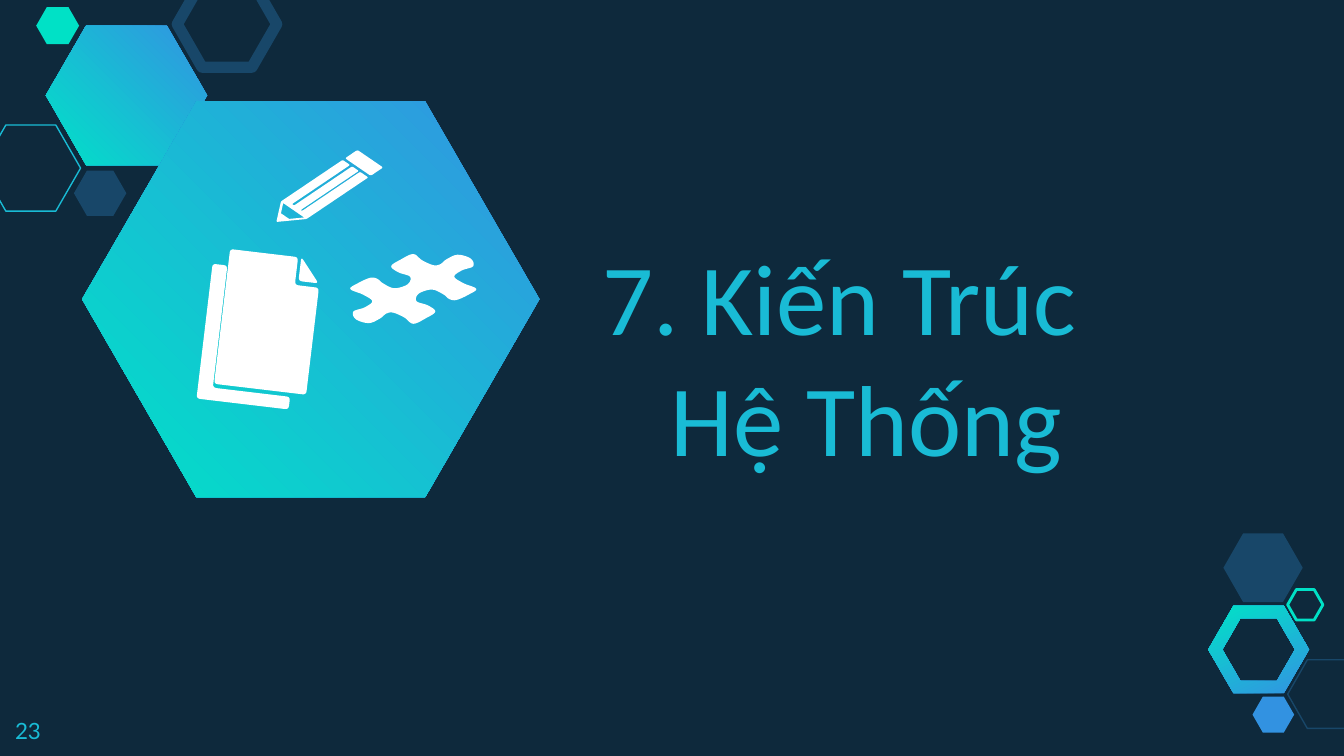
"""Build the section slide "7. Kiến Trúc Hệ Thống" with hexagons and icons."""
from math import cos, radians, sin

from pptx import Presentation
from pptx.dml.color import RGBColor
from pptx.enum.shapes import MSO_SHAPE
from pptx.enum.text import MSO_ANCHOR, MSO_AUTO_SIZE, PP_ALIGN
from pptx.util import Pt

COLORS = {
    "night": "0E293C", "navy": "184769", "cyan": "19BBD5",
    "mint": "00E1C6", "blue": "3292E1", "white": "FFFFFF",
    "grad_start": "3393E2", "grad_end": "00E2C7",
}
HEX_RATIO = sin(radians(60))
PAGE_TILT = 6.8
KNOB_PROFILE = [
    (0, 0), (0.18, -0.02), (0.35, 0), (0.38, 0.15), (0.35, 0.3), (0.48, 0.39),
    (0.64, 0.34), (0.66, 0.18), (0.64, 0.07), (0.68, 0), (0.84, -0.02),
]


def rgb(name):
    return RGBColor.from_string(COLORS[name])


def hexagon_points(cx, cy, width):
    angles = [radians(60 * k) for k in range(6)]
    return [(cx + width / 2 * cos(a), cy + width / 2 * sin(a)) for a in angles]


def on_axes(origin, along, across, points):
    """Map (a, b) pairs to origin + a * along + b * across."""
    return [tuple(o + a * u + b * v for o, u, v in zip(origin, along, across))
            for a, b in points]


def round_corners(corners, radius, steps=4):
    """Replace each corner of a polygon by a short quadratic curve."""
    points = []
    for i, (x, y) in enumerate(corners):
        ends = []
        for nx, ny in (corners[i - 1], corners[(i + 1) % len(corners)]):
            share = min(0.5, radius / ((nx - x) ** 2 + (ny - y) ** 2) ** 0.5)
            ends.append((x + share * (nx - x), y + share * (ny - y)))
        (ax, ay), (bx, by) = ends
        for t in (k / steps for k in range(steps + 1)):
            before, middle, after = (1 - t) ** 2, 2 * t * (1 - t), t ** 2
            points.append((before * ax + middle * x + after * bx,
                           before * ay + middle * y + after * by))
    return points


def smooth_loop(knots, steps=5):
    """Run a closed Catmull-Rom curve through the knots."""
    points = []
    for i in range(len(knots)):
        window = [knots[(i + k) % len(knots)] for k in (-1, 0, 1, 2)]
        for t in (k / steps for k in range(steps)):
            points.append(tuple(
                b + t / 2 * (c - a + t * (2 * a - 5 * b + 4 * c - d
                                          + t * (3 * (b - c) + d - a)))
                for a, b, c, d in zip(*window)))
    return points


def add_hexagon(s, left, top, width, fill=None, line=None, weight=0.75):
    sp = s.shapes.add_shape(MSO_SHAPE.HEXAGON, Pt(left), Pt(top),
                            Pt(width), Pt(width * HEX_RATIO))
    sp.shadow.inherit = False
    sp.adjustments[0] = 0.287
    if fill:
        sp.fill.solid()
        sp.fill.fore_color.rgb = rgb(fill)
    else:
        sp.fill.background()
    if line:
        sp.line.color.rgb = rgb(line)
        sp.line.width = Pt(weight)
    else:
        sp.line.fill.background()


def add_outline(s, *contours, gradient_angle=None, rotation=0):
    first, *holes = [[(Pt(x), Pt(y)) for x, y in c] for c in contours]
    builder = s.shapes.build_freeform(*first[0])
    builder.add_line_segments(first[1:], close=True)
    for hole in holes:
        builder.move_to(*hole[0])
        builder.add_line_segments(hole[1:], close=True)
    sp = builder.convert_to_shape()
    sp.shadow.inherit = False
    sp.rotation = rotation
    sp.line.fill.background()
    if gradient_angle is None:
        sp.fill.solid()
        sp.fill.fore_color.rgb = rgb("white")
    else:
        sp.fill.gradient()
        sp.fill.gradient_angle = gradient_angle
        for stop, name in zip(sp.fill.gradient_stops, ("grad_start", "grad_end")):
            stop.color.rgb = rgb(name)


def add_pages(s):
    """Draw a back page, a front page with a notch, and its folded corner."""
    w, h = 49.7, 72.7
    edge_x, edge_y = 8, h - 6.8
    notch_x, notch_y = w - 13, 15
    fold_w, fold_h = 10.8, 13
    back = [(0, 0), (edge_x, 0), (edge_x, edge_y), (w, edge_y), (w, h), (0, h)]
    front = [(0, 0), (notch_x, 0), (notch_x, notch_y), (w, notch_y), (w, h), (0, h)]
    fold = [(0, 0), (fold_w, fold_h), (0, fold_h)]
    for left, top, corners in ((109.4, 144, back), (118.8, 136.1, front),
                               (160.6, 138.2, fold)):
        placed = [(left + x, top + y) for x, y in corners]
        add_outline(s, round_corners(placed, 2), rotation=PAGE_TILT)


def add_puzzle(s):
    """Draw a tilted square whose four sides share one knob profile."""
    corner = (221.4, 136.1)
    down_left, down_right = (-33.8, 18.7), (33.8, 18.7)
    up_right, up_left = (33.8, -18.7), (-33.8, -18.7)
    knots = []
    for along, knob in ((down_left, down_right), (down_right, down_left),
                        (up_right, up_left), (up_left, up_right)):
        knots += on_axes(corner, along, knob, KNOB_PROFILE)
        corner = (corner[0] + along[0], corner[1] + along[1])
    add_outline(s, smooth_loop(knots))


def add_pencil(s):
    """Draw eraser and striped body; a runs toward the tip, b across."""
    axes = (183.6, 85.7), (-33.1, 22.3), (13.7, 9.4)
    groove_end = 0.94
    eraser = [(-0.04, 0), (-0.24, 0), (-0.24, 1), (-0.04, 1)]
    body = [(1, 0)]
    for b0, b1 in ((0, 0.29), (0.37, 0.63), (0.68, 1)):
        body += [(groove_end, b0), (0, b0), (0, b1), (groove_end, b1)]
    body += [(1, 1), (1.28, 0.5)]
    window = [(1, 0.09), (1, 0.91), (1.14, 0.66), (1.14, 0.34)]
    add_outline(s, round_corners(on_axes(*axes, eraser), 1))
    add_outline(s, round_corners(on_axes(*axes, body), 0.8), on_axes(*axes, window))


def write_text(sp, text, *, box, size, font, color="cyan",
               anchor=MSO_ANCHOR.TOP, hanging=0):
    sp.left, sp.top, sp.width, sp.height = (Pt(v) for v in box)
    tf = sp.text_frame
    tf.word_wrap = True
    tf.auto_size = MSO_AUTO_SIZE.NONE
    tf.vertical_anchor = anchor
    tf.margin_left = tf.margin_right = tf.margin_top = tf.margin_bottom = Pt(7.2)
    p = tf.paragraphs[0]
    p.alignment = PP_ALIGN.LEFT
    if hanging:
        pPr = p._p.get_or_add_pPr()
        pPr.set("marL", str(Pt(hanging)))
        pPr.set("indent", str(-Pt(hanging)))
    for i, line in enumerate(text.split("\n")):
        if i:
            p.add_line_break()
        r = p.add_run()
        r.text = line
        r.font.size = Pt(size)
        r.font.name = font
        r.font.color.rgb = rgb(color)


def add_hexagon_clusters(s):
    add_outline(s, hexagon_points(674.3, 348, 54), hexagon_points(674.3, 348, 38.9),
                gradient_angle=116)
    add_outline(s, hexagon_points(67.8, 51.1, 86.4), gradient_angle=225)
    add_hexagon(s, -10.1, 67, 53.3, line="cyan")
    add_hexagon(s, 39.6, 91.4, 28.1, fill="navy")
    add_hexagon(s, 95, -10.1, 53.3, line="navy", weight=6)
    add_hexagon(s, 19.4, 3.8, 23, fill="mint")
    add_hexagon(s, 689.8, 353.5, 42.5, line="navy")
    add_hexagon(s, 671, 373.2, 22.3, fill="blue")
    add_hexagon(s, 655.4, 285.8, 42.5, fill="navy")
    add_hexagon(s, 689.8, 315.8, 18.9, line="mint", weight=1.5)
    add_outline(s, hexagon_points(166.5, 160.3, 245), gradient_angle=225)


def main():
    prs = Presentation()
    prs.slide_width, prs.slide_height = Pt(720), Pt(405)
    s = prs.slides.add_slide(prs.slide_layouts[0])
    s.background.fill.solid()
    s.background.fill.fore_color.rgb = rgb("night")
    subtitle = s.placeholders[1].element
    subtitle.getparent().remove(subtitle)

    add_hexagon_clusters(s)
    write_text(s.shapes.title, "7. Kiến Trúc\nHệ Thống", box=(315.4, 118.8, 404.6, 143.7),
               size=54, font="Calibri", anchor=MSO_ANCHOR.BOTTOM, hanging=36.6)
    write_text(s.shapes.add_textbox(0, 0, 0, 0), "23", box=(1, 377, 43.2, 28),
               size=12, font="Lato")
    for add_icon in (add_pages, add_puzzle, add_pencil):
        add_icon(s)
    prs.save("out.pptx")


if __name__ == "__main__":
    main()
